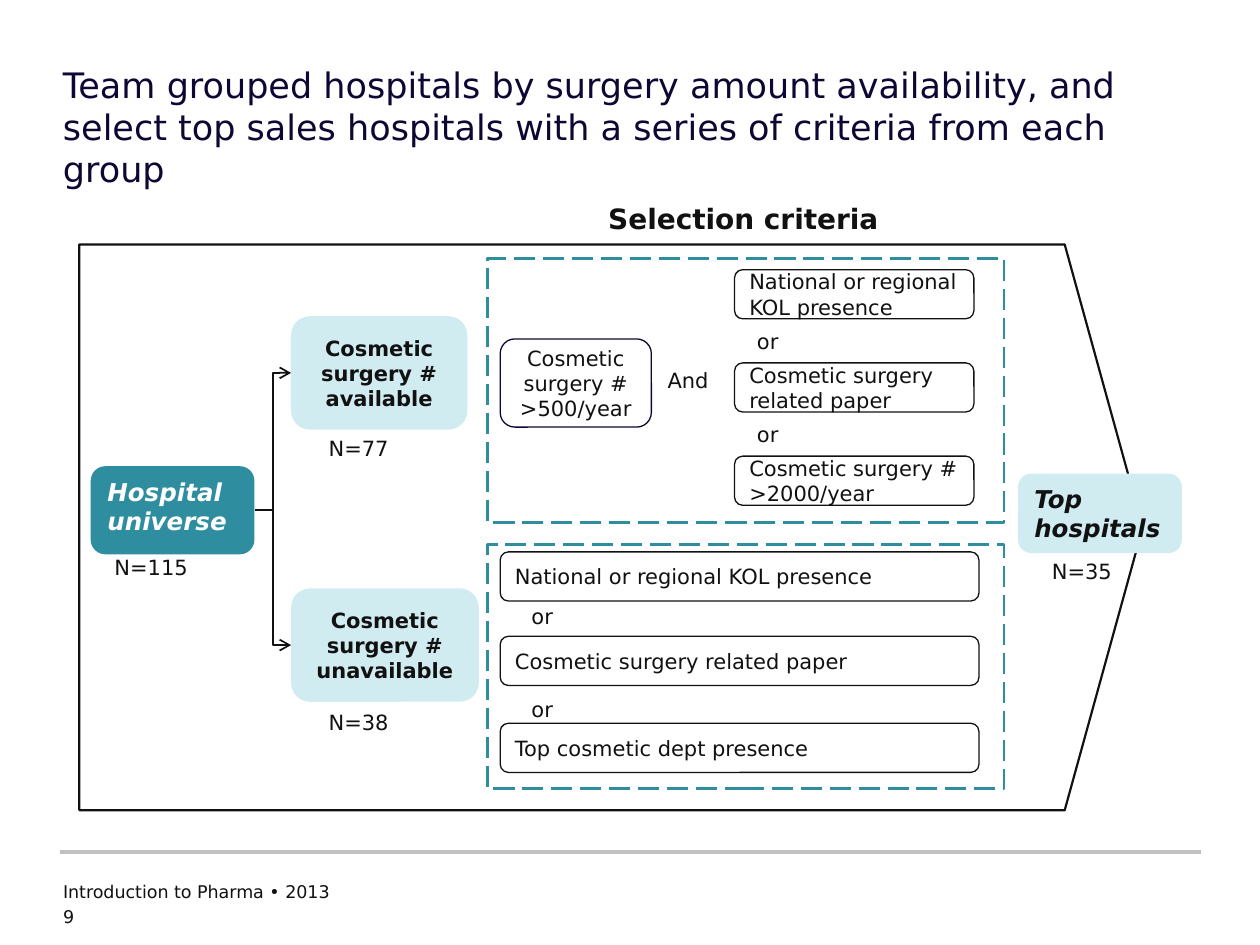
from dataclasses import dataclass
from typing import Optional

from lxml.etree import SubElement
from pptx import Presentation
from pptx.dml.color import RGBColor
from pptx.enum.dml import MSO_LINE
from pptx.enum.shapes import MSO_CONNECTOR, MSO_SHAPE
from pptx.enum.text import MSO_ANCHOR, PP_ALIGN
from pptx.oxml.ns import qn
from pptx.util import Inches, Pt

FONT = "DejaVu Sans"
INK, NAVY, TEAL, PALE, GREY = "111111", "0E0733", "2E8D9E", "D0ECF1", "C0C0C0"
HEADING = {"size": Pt(14), "bold": True, "italic": True}
GROUP = {"size": Pt(12), "bold": True}
BODY = {"size": Pt(12)}


@dataclass
class Box:
    left: float
    top: float
    width: float
    height: float
    text: str = ""
    fmt: Optional[dict] = None
    color: str = INK
    fill: Optional[str] = None
    line: Optional[str] = None
    weight: float = 0.75
    align: PP_ALIGN = PP_ALIGN.LEFT
    anchor: MSO_ANCHOR = MSO_ANCHOR.MIDDLE
    kind: MSO_SHAPE = MSO_SHAPE.ROUNDED_RECTANGLE


def rgb(value: str) -> RGBColor:
    return RGBColor.from_string(value)


def write(sp, text: str, fmt: dict, color: str, align=PP_ALIGN.LEFT) -> None:
    tf = sp.text_frame
    tf.word_wrap = True
    p = tf.paragraphs[0]
    p.alignment = align
    r = p.add_run()
    r.text = text
    r.font.color.rgb = rgb(color)
    for name, value in {"name": FONT, **fmt}.items():
        setattr(r.font, name, value)


def add_box(s, box: Box):
    sp = s.shapes.add_shape(box.kind, Inches(box.left), Inches(box.top),
                            Inches(box.width), Inches(box.height))
    sp.shadow.inherit = False
    if box.fill:
        sp.fill.solid()
        sp.fill.fore_color.rgb = rgb(box.fill)
    else:
        sp.fill.background()
    if box.line:
        sp.line.color.rgb = rgb(box.line)
        sp.line.width = Pt(box.weight)
    else:
        sp.line.fill.background()
    if box.text:
        sp.text_frame.vertical_anchor = box.anchor
        write(sp, box.text, box.fmt, box.color, box.align)
    return sp


def add_label(s, left: float, top: float, width: float, height: float, text: str,
              fmt: dict = BODY, color: str = INK, inset: bool = True) -> None:
    sp = s.shapes.add_textbox(Inches(left), Inches(top), Inches(width), Inches(height))
    if not inset:
        for side in ("left", "right", "top", "bottom"):
            setattr(sp.text_frame, f"margin_{side}", 0)
    write(sp, text, fmt, color)


def add_line(s, kind, start: tuple, end: tuple, color: str, weight: float):
    c = s.shapes.add_connector(kind, *map(Inches, start + end))
    c.line.color.rgb = rgb(color)
    c.line.width = Pt(weight)
    SubElement(c._element.spPr, qn("a:effectLst"))
    return c


def add_branch(s, source, target) -> None:
    c = add_line(s, MSO_CONNECTOR.ELBOW, (2.02, 4.05), (2.31, 4.5), INK, 1)
    c.begin_connect(source, 3)
    c.end_connect(target, 1)
    SubElement(c.line._get_or_add_ln(), qn("a:tailEnd"), type="arrow")


def main() -> None:
    prs = Presentation()
    prs.slide_width, prs.slide_height = Inches(10), Inches(7.5)
    s = prs.slides.add_slide(prs.slide_layouts[6])

    # Title and footer
    add_label(s, 0.5, 0.5, 9, 1,
              "Team grouped hospitals by surgery amount availability, and select top "
              "sales hospitals with a series of criteria from each group",
              {"size": Pt(20)}, NAVY, inset=False)
    add_line(s, MSO_CONNECTOR.STRAIGHT, (0.48, 6.76), (9.53, 6.76), GREY, 2)
    add_label(s, 0.5, 6.99, 6.68, 0.23, "Introduction to Pharma • 2013",
              {"size": Pt(10)}, inset=False)
    add_label(s, 0.5, 7.19, 0.48, 0.2, "9", {"size": Pt(10)}, inset=False)

    # Funnel outline and its heading
    plate = add_box(s, Box(0.63, 1.94, 8.44, 4.49, line=INK, weight=1.25,
                           kind=MSO_SHAPE.PENTAGON))
    plate.adjustments[0] = 0.138
    add_box(s, Box(4.57, 1.54, 2.66, 0.39, "Selection criteria",
                   {"size": Pt(16), "bold": True}, align=PP_ALIGN.CENTER))

    # Dashed frames around the criteria of each group
    for top, height in ((2.05, 2.1), (4.32, 1.94)):
        frame = add_box(s, Box(3.87, top, 4.1, height, line=TEAL, weight=1.5,
                               kind=MSO_SHAPE.RECTANGLE))
        frame.line.dash_style = MSO_LINE.LONG_DASH

    # Universe, the two groups and the result
    universe = add_box(s, Box(0.72, 3.7, 1.3, 0.7, "Hospital universe", HEADING,
                              "FFFFFF", TEAL, anchor=MSO_ANCHOR.TOP))
    for top, width, state in ((2.51, 1.4, "available"), (4.67, 1.49, "unavailable")):
        group = add_box(s, Box(2.31, top, width, 0.9, f"Cosmetic surgery # {state}",
                               GROUP, fill=PALE, align=PP_ALIGN.CENTER))
        add_branch(s, universe, group)
    add_box(s, Box(8.08, 3.76, 1.3, 0.63, "Top hospitals", HEADING, fill=PALE,
                   anchor=MSO_ANCHOR.TOP))

    # Criteria where the surgery number is available
    add_box(s, Box(3.97, 2.69, 1.2, 0.7, "Cosmetic surgery # >500/year", BODY,
                   line=NAVY, align=PP_ALIGN.CENTER))
    add_label(s, 5.2, 2.87, 0.66, 0.3, "And")
    for i, text in enumerate(("National or regional KOL presence",
                              "Cosmetic surgery related paper",
                              "Cosmetic surgery # >2000/year")):
        add_box(s, Box(5.83, 2.14 + 0.74 * i, 1.9, 0.39, text, BODY, line=INK))

    # Criteria where it is unavailable
    for top, text in ((4.38, "National or regional KOL presence"),
                      (5.05, "Cosmetic surgery related paper"),
                      (5.74, "Top cosmetic dept presence")):
        add_box(s, Box(3.97, top, 3.8, 0.39, text, BODY, line=INK))

    # "or" between criteria, counts under the boxes
    for left, first in ((5.91, 2.56), (4.12, 4.74)):
        for i in range(2):
            add_label(s, left, first + 0.74 * i, 0.66, 0.2, "or")
    for left, top, count in ((0.81, 4.35, 115), (2.51, 3.41, 77),
                             (2.51, 5.58, 38), (8.25, 4.38, 35)):
        add_label(s, left, top, 1.02, 0.3, f"N={count}")

    prs.save("out.pptx")


if __name__ == "__main__":
    main()
